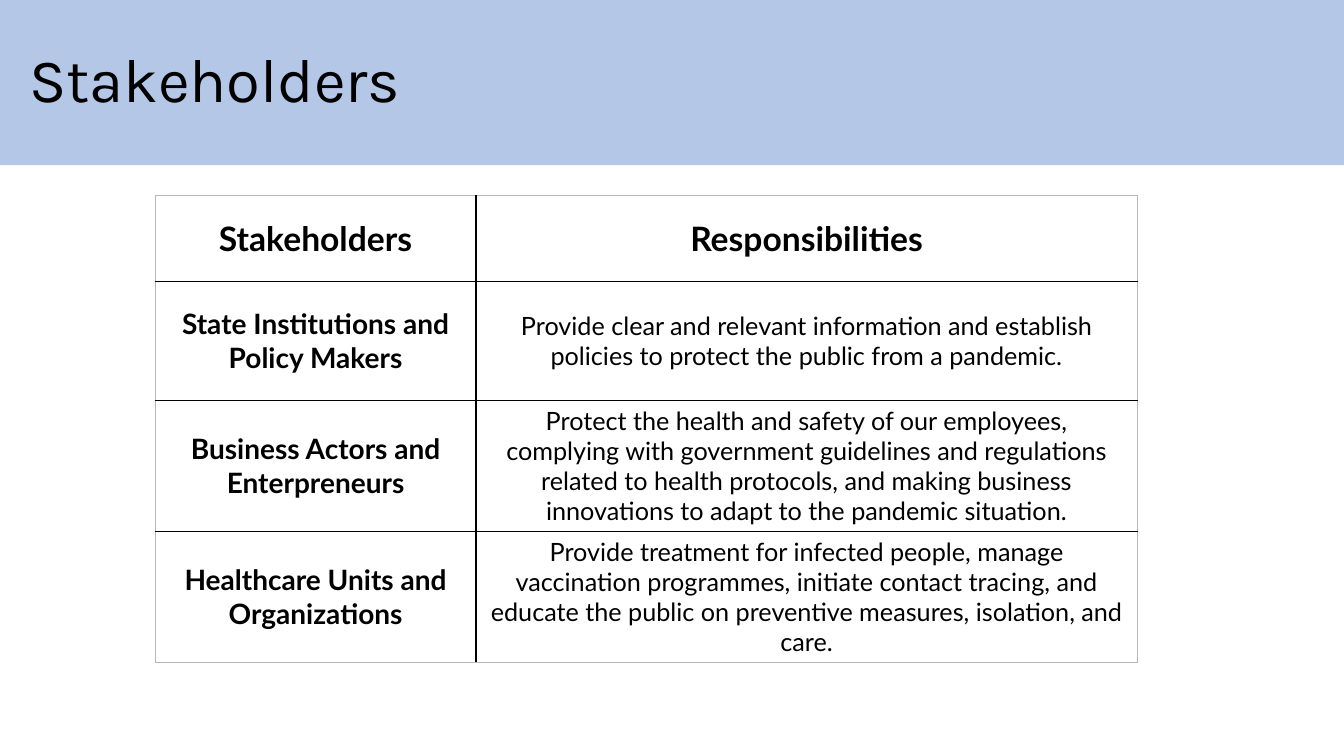
from lxml.etree import SubElement as Sub
from pptx import Presentation
from pptx.dml.color import RGBColor as RGB
from pptx.enum.shapes import MSO_SHAPE as Shape
from pptx.enum.text import MSO_ANCHOR as Anchor, PP_ALIGN as Align
from pptx.oxml.ns import qn
from pptx.util import Inches, Pt

TITLE = "Stakeholders"
ROWS = [
    ("Stakeholders", "Responsibilities"),
    ("State Institutions and Policy Makers",
     "Provide clear and relevant information and establish policies "
     "to protect the public from a pandemic."),
    ("Business Actors and Enterpreneurs",
     "Protect the health and safety of our employees, complying with "
     "government guidelines and regulations related to health protocols, "
     "and making business innovations to adapt to the pandemic situation."),
    ("Healthcare Units and Organizations",
     "Provide treatment for infected people, manage vaccination programmes, "
     "initiate contact tracing, and educate the public on preventive "
     "measures, isolation, and care."),
]
COLS = [3.18, 6.56]
HIGH = [0.85, 1.18, 1.3, 1.3]
COLOR = {"band": "B4C7E7", "text": "000000", "inner": "000000", "outer": "B7B7B7"}
WIDE, TALL = 13.33, 7.5


def write(frame, text, font, size, bold=False):
    frame.vertical_anchor = Anchor.MIDDLE
    par = frame.paragraphs[0]
    run = par.add_run()
    run.text = text
    run.font.name = font
    run.font.size = Pt(size)
    run.font.bold = bold
    run.font.color.rgb = RGB.from_string(COLOR["text"])
    return par


def edge(cell, side, color):
    line = Sub(cell._tc.get_or_add_tcPr(), qn(f"a:{side}"), w=str(Pt(1)))
    fill = Sub(line, qn("a:solidFill"))
    Sub(fill, qn("a:srgbClr"), val=color)


def border(cell, row, col):
    outer = {"lnL": col == 0, "lnR": col == len(COLS) - 1,
             "lnT": row == 0, "lnB": row == len(ROWS) - 1}
    for side, out in outer.items():
        edge(cell, side, COLOR["outer" if out else "inner"])


def add_band(slide):
    band = slide.shapes.add_shape(Shape.RECTANGLE, 0, 0, Inches(WIDE), Inches(1.64))
    band.shadow.inherit = False
    band.fill.solid()
    band.fill.fore_color.rgb = RGB.from_string(COLOR["band"])
    band.line.fill.background()


def add_title(slide):
    box = slide.shapes.add_textbox(Inches(0.19), Inches(0.29), Inches(6.47), Inches(1.06))
    box.text_frame.word_wrap = True
    write(box.text_frame, TITLE, "Karla", 44).line_spacing = 0.9


def add_grid(slide):
    frame = slide.shapes.add_table(len(ROWS), len(COLS), Inches(1.54), Inches(1.94),
                                   Inches(sum(COLS)), Inches(sum(HIGH)))
    table = frame.table
    table.first_row = table.horz_banding = False
    for col, width in zip(table.columns, COLS):
        col.width = Inches(width)
    for row, height in zip(table.rows, HIGH):
        row.height = Inches(height)
    for r, texts in enumerate(ROWS):
        for c, text in enumerate(texts):
            cell = table.cell(r, c)
            size = 24 if r == 0 else (20, 18)[c]
            par = write(cell.text_frame, text, "Lato", size, r == 0 or c == 0)
            par.alignment = Align.CENTER
            cell.vertical_anchor = Anchor.MIDDLE
            border(cell, r, c)
            cell.fill.background()


def main():
    deck = Presentation()
    deck.slide_width, deck.slide_height = Inches(WIDE), Inches(TALL)
    slide = deck.slides.add_slide(deck.slide_layouts[6])
    add_band(slide)
    add_title(slide)
    add_grid(slide)
    deck.save("out.pptx")


if __name__ == "__main__":
    main()
